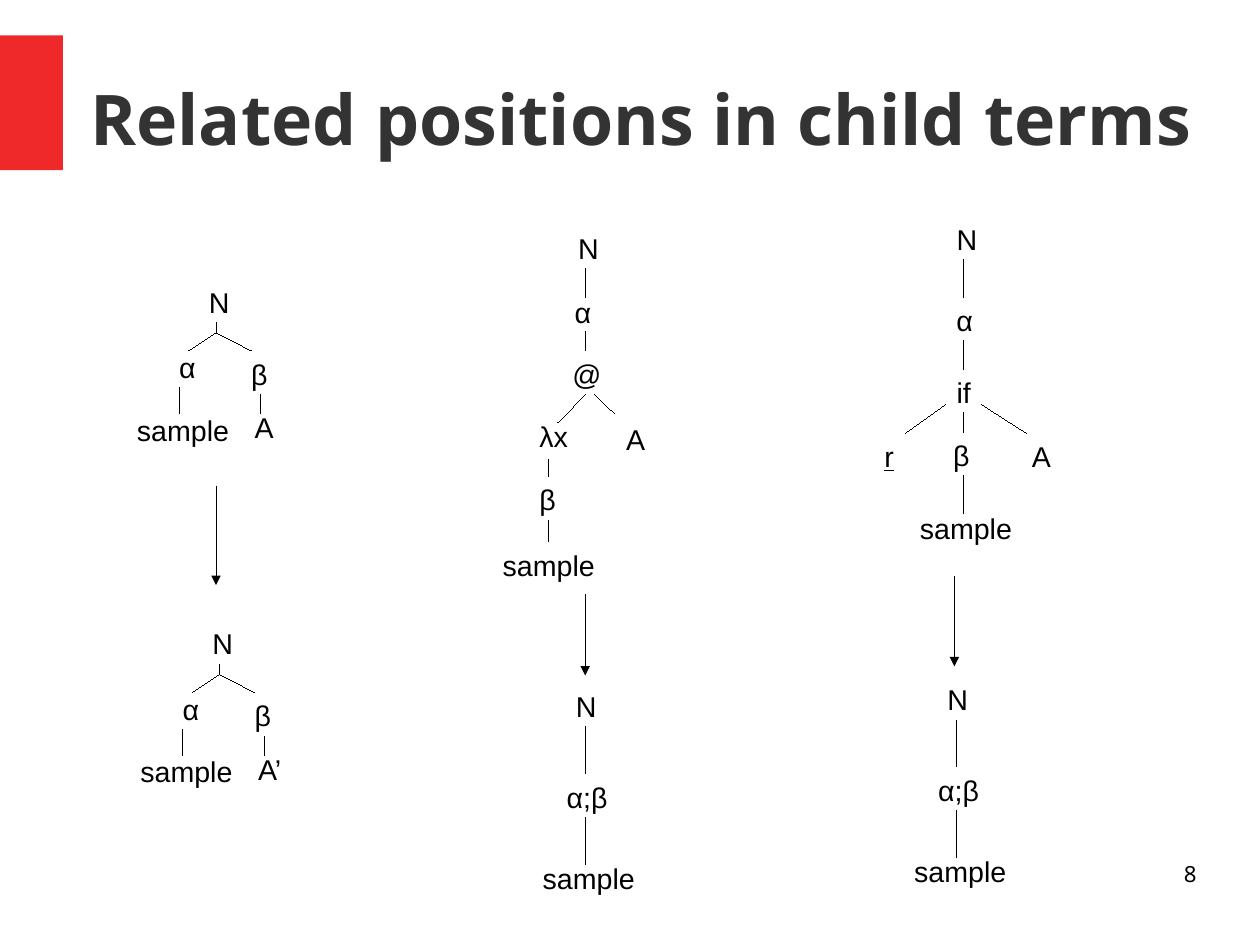
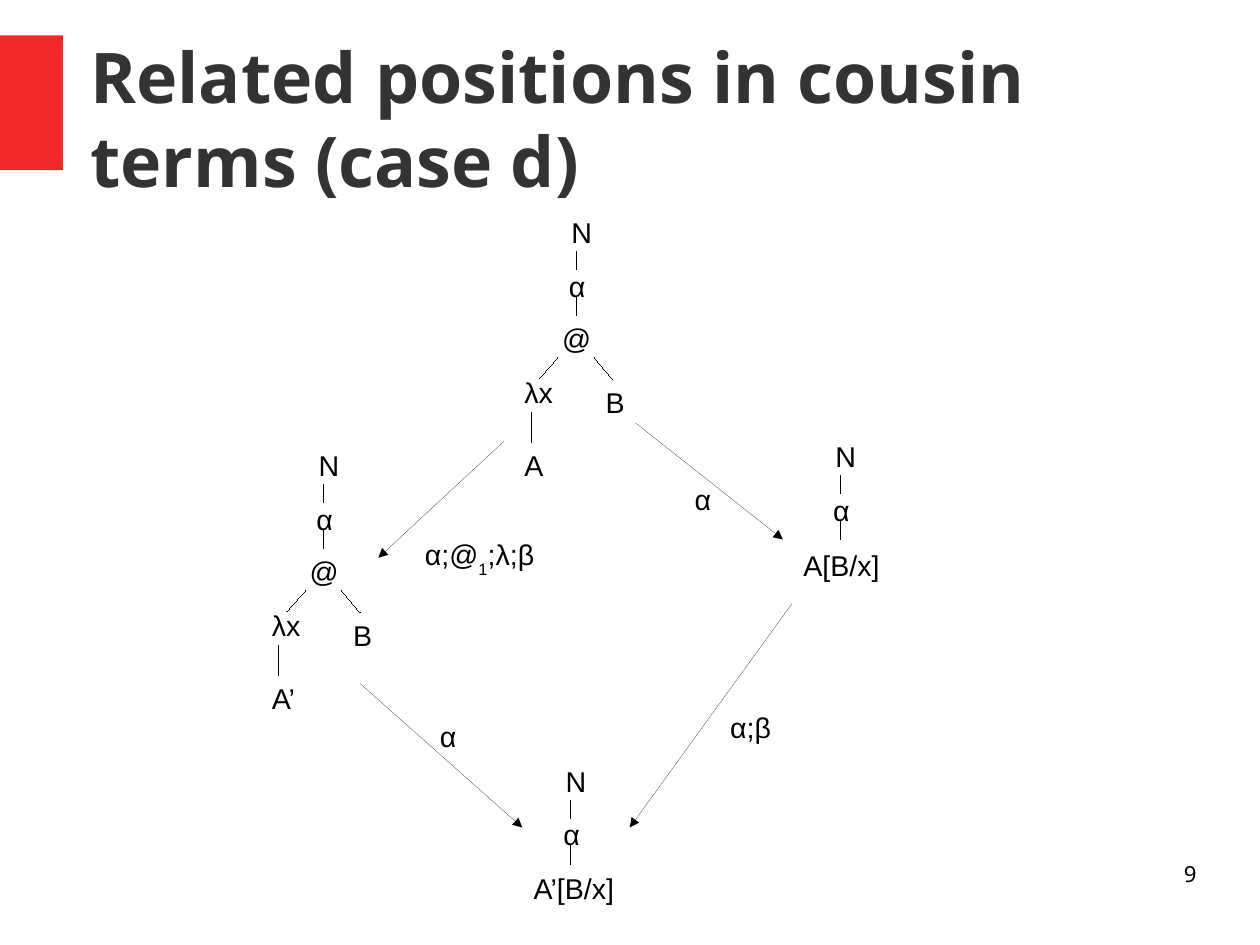
from lxml import etree
from pptx import Presentation
from pptx import util as u
from pptx.dml import color
from pptx.enum import shapes, text
from pptx.oxml import ns

# Box widths that hold each label on one line, side insets included
WIDTHS = {
    "N": 0.45, "α": 0.4, "β": 0.4, "A": 0.45, "B": 0.45, "A’": 0.5,
    "@": 0.52, "λx": 0.52, "if": 0.42, "r": 0.36, "α;β": 0.65,
    "sample": 1.1, "A[B/x]": 1.02, "A’[B/x]": 1.02,
}


def rgb(value):
    return color.RGBColor.from_string(value)


class Deck:
    RED, DARK, BLACK = "EF2929", "333333", "000000"
    TITLE_FONT, LABEL_FONT = "Noto Sans", "Arial"

    def __init__(self):
        self.prs = Presentation()
        self.prs.slide_width = u.Cm(28)
        self.prs.slide_height = u.Cm(21)
        self.s = None

    def slide(self, title, number, top, height):
        """Start a slide with its band, title and number."""
        self.s = self.prs.slides.add_slide(self.prs.slide_layouts[5])
        self.band()
        self.title(title, top, height)
        self.number(number)

    def band(self):
        sp = self.s.shapes.add_shape(
            shapes.MSO_SHAPE.RECTANGLE, 0, u.Inches(0.31),
            u.Inches(0.55), u.Inches(1.18))
        sp.shadow.inherit = False
        sp.fill.solid()
        sp.fill.fore_color.rgb = rgb(self.RED)
        sp.line.fill.background()

    def title(self, title, top, height):
        sp = self.s.shapes.title
        sp.left, sp.top = u.Inches(0.79), u.Inches(top)
        sp.width, sp.height = u.Inches(9.68), u.Inches(height)
        tf = sp.text_frame
        self.frame(tf, 0, 0)
        tf.vertical_anchor = text.MSO_ANCHOR.MIDDLE
        p = tf.paragraphs[0]
        p.alignment = text.PP_ALIGN.LEFT
        self.run(p, title, 44, self.TITLE_FONT, self.DARK).font.bold = True

    def number(self, number):
        tf = self.box(7.9, 7.53, 2.57, 0.57)
        self.frame(tf, 0, 0)
        p = tf.paragraphs[0]
        p.alignment = text.PP_ALIGN.RIGHT
        self.run(p, str(number), 14, self.TITLE_FONT, self.BLACK)

    def box(self, x, y, w, h):
        return self.s.shapes.add_textbox(
            u.Inches(x), u.Inches(y), u.Inches(w), u.Inches(h)).text_frame

    def frame(self, tf, side, edge):
        tf.margin_left = tf.margin_right = u.Inches(side)
        tf.margin_top = tf.margin_bottom = u.Inches(edge)
        tf.word_wrap = True
        tf.auto_size = text.MSO_AUTO_SIZE.NONE

    def run(self, p, words, size, name, hue):
        r = p.add_run()
        r.text = words
        r.font.size, r.font.name = u.Pt(size), name
        r.font.color.rgb = rgb(hue)
        return r

    def label(self, x, y, *words, width=None, underline=None, subscript=None):
        """Write the words as runs; subscript is the index of a lowered run."""
        tf = self.box(x, y, width or WIDTHS[words[0]], 0.38)
        self.frame(tf, 0.1, 0.05)
        p = tf.paragraphs[0]
        for i, word in enumerate(words):
            r = self.run(p, word, 18, self.LABEL_FONT, self.BLACK)
            r.font.underline = underline
            if i == subscript:
                r.font._element.set("baseline", "-33000")

    def line(self, x1, y1, x2, y2, arrow=False):
        c = self.s.shapes.add_connector(
            shapes.MSO_CONNECTOR.STRAIGHT, u.Inches(x1), u.Inches(y1),
            u.Inches(x2), u.Inches(y2))
        c.line.color.rgb = rgb(self.BLACK)
        spPr = c._element.spPr
        # Hairline: a width of zero has to be written out
        ln = spPr.find(ns.qn("a:ln"))
        ln.set("w", "0")
        if arrow:
            etree.SubElement(ln, ns.qn("a:tailEnd"), type="triangle")
        etree.SubElement(spPr, ns.qn("a:effectLst"))

    def tree(self, x, y, nodes, edges):
        """Draw a term tree; places are relative to its root N at x, y."""
        self.label(x, y, "N")
        for word, dx, dy in nodes:
            self.label(x + dx, y + dy, word)
        for x1, y1, x2, y2 in edges:
            self.line(x + x1, y + y1, x + x2, y + y2)

    def pair_tree(self, x, y, right):
        self.tree(x, y, [
            ("α", -0.26, 0.57), ("β", 0.37, 0.63),
            ("sample", -0.63, 1.12), (right, 0.4, 1.1),
        ], [
            (0.16, 0.38, 0.16, 0.47), (0.47, 0.63, 0.16, 0.47),
            (-0.08, 0.63, 0.16, 0.47), (-0.16, 0.95, -0.16, 1.18),
            (0.55, 1.01, 0.55, 1.18),
        ])

    def chain_tree(self, x, y):
        self.tree(x, y, [("α;β", -0.08, 0.79), ("sample", -0.29, 1.5)],
                  [(0.18, 0.38, 0.18, 0.79), (0.18, 1.17, 0.18, 1.58)])

    def stem_tree(self, x, y, nodes, edges=()):
        """A tree that starts with N and α, then the given nodes."""
        self.tree(x, y, [("α", -0.02, 0.47), *nodes], [
            (0.14, 0.37, 0.14, 0.53), (0.14, 0.77, 0.14, 0.93), *edges])

    def apply_tree(self, x, y, body):
        self.stem_tree(x, y, [
            ("@", -0.08, 0.93), ("λx", -0.41, 1.4),
            (body, -0.41, 2.04), ("B", 0.3, 1.49),
        ], [
            (-0.02, 1.3, -0.18, 1.48), (0.3, 1.3, 0.46, 1.49),
            (-0.25, 1.78, -0.25, 2.04),
        ])


def child_terms(d):
    d.slide("Related positions in child terms", 8, 0.31, 1.43)

    # Left: a pair and its successor
    d.pair_tree(1.73, 2.44, "A")
    d.pair_tree(1.76, 5.43, "A’")

    # Middle: an application
    d.tree(4.96, 1.97, [
        ("α", -0.03, 0.56), ("@", -0.05, 1.1), ("λx", -0.34, 1.65),
        ("A", 0.42, 1.67), ("β", -0.34, 2.2), ("sample", -0.66, 2.77),
    ], [
        (0.16, 0.38, 0.16, 0.63), (0.16, 0.93, 0.16, 1.1),
        (0.16, 1.48, -0.08, 1.73), (0.24, 1.48, 0.42, 1.65),
        (-0.16, 2.05, -0.16, 2.2), (-0.16, 2.58, -0.16, 2.77),
    ])
    d.chain_tree(4.94, 5.98)

    # Right: a conditional
    d.tree(8.27, 1.89, [
        ("α", 0, 0.71), ("if", 0, 1.34), ("β", -0.03, 1.89),
        ("A", 0.66, 1.9), ("sample", -0.32, 2.53),
    ], [
        (0.16, 0.38, 0.16, 0.71), (0.16, 1.09, 0.16, 1.34),
        (0, 1.65, -0.35, 1.9), (0.16, 1.72, 0.16, 1.89),
        (0.32, 1.65, 0.71, 1.9), (0.16, 2.27, 0.16, 2.6),
    ])
    d.label(7.64, 3.79, "r", underline=True)
    d.chain_tree(8.19, 5.92)

    # Reduction arrows
    for x, top, bottom in [(1.89, 4.25, 5.12), (5.12, 5.2, 5.91),
                           (8.35, 5.04, 5.83)]:
        d.line(x, top, x, bottom, arrow=True)


def cousin_terms(d):
    d.slide("Related positions in cousin terms (case d)", 9, 0.19, 1.67)

    # Four corners of the diagram
    d.apply_tree(4.9, 1.83, "A")
    d.apply_tree(2.69, 3.87, "A’")
    d.stem_tree(7.21, 3.79, [("A[B/x]", -0.28, 0.95)])
    d.stem_tree(4.85, 6.63, [("A’[B/x]", -0.28, 0.94)])

    # Arrows between them
    for ends in [(4.41, 3.86, 3.31, 4.88), (5.56, 3.7, 6.85, 4.72),
                 (6.93, 5.28, 5.51, 7.24), (3.15, 5.98, 4.57, 7.24)]:
        d.line(*ends, arrow=True)

    # Arrow labels
    d.label(3.62, 4.65, "α;@", "1", ";λ;β", width=1.3, subscript=1)
    d.label(5.98, 4.17, "α")
    d.label(3.75, 6.24, "α")
    d.label(6.29, 6.16, "α;β")


def main():
    d = Deck()
    child_terms(d)
    cousin_terms(d)
    d.prs.save("out.pptx")


if __name__ == "__main__":
    main()
